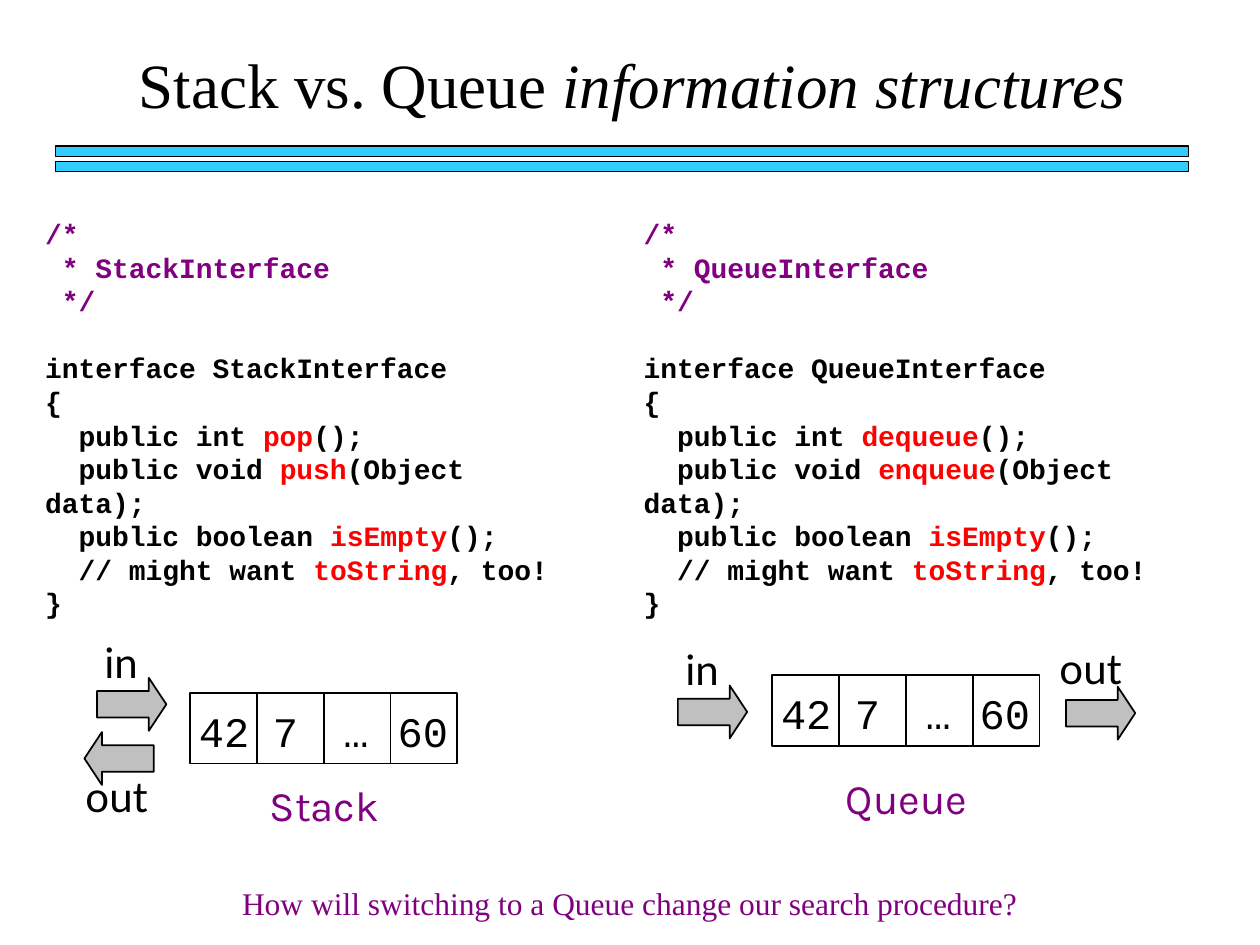
from pptx import Presentation
from pptx.dml.color import RGBColor
from pptx.enum.shapes import MSO_SHAPE
from pptx.enum.text import MSO_ANCHOR, PP_ALIGN
from pptx.util import Inches, Pt

RECT = MSO_SHAPE.RECTANGLE
RIGHT = MSO_SHAPE.RIGHT_ARROW
BACK = MSO_SHAPE.LEFT_ARROW
LEFT, MID = PP_ALIGN.LEFT, PP_ALIGN.CENTER
TOP, BASE = MSO_ANCHOR.TOP, MSO_ANCHOR.BOTTOM
BLACK, PURPLE, RED = "000000", "800080", "FF0000"
SERIF = {"name": "Times New Roman"}
MONO = {"name": "Courier New", "size": Pt(24)}
LATO = {"name": "Lato", "size": Pt(24)}
KARLA = {"name": "Karla", "size": Pt(24)}
CODE = {"name": "Courier New", "size": Pt(16), "bold": True}

prs = Presentation()
prs.slide_width, prs.slide_height = Inches(10), Inches(7.5)
slide = prs.slides.add_slide(prs.slide_layouts[6])


def add_text(box, lines, form, align=LEFT, wrap=True, anchor=TOP):
    """Each line is a list of (text, colour, italic) runs."""
    frame = slide.shapes.add_textbox(*map(Inches, box)).text_frame
    frame.word_wrap = wrap
    frame.vertical_anchor = anchor
    for i, line in enumerate(lines):
        para = frame.add_paragraph() if i else frame.paragraphs[0]
        para.alignment = align
        for key, value in form.items():
            setattr(para.font, key, value)
        for text, color, slant in line:
            run = para.add_run()
            run.text = text
            for key, value in {**form, "italic": slant}.items():
                setattr(run.font, key, value)
            run.font.color.rgb = RGBColor.from_string(color)


def add_shape(kind, box, fill, width=1):
    shape = slide.shapes.add_shape(kind, *map(Inches, box))
    shape.shadow.inherit = False
    if fill:
        shape.fill.solid()
        shape.fill.fore_color.rgb = RGBColor.from_string(fill)
    else:
        shape.fill.background()
    shape.line.color.rgb = RGBColor.from_string(BLACK)
    shape.line.width = Pt(width)
    return shape


# Title and double rule
add_text((0.92, 0.18, 8.19, 0.83),
         [[("Stack vs. Queue ", BLACK, False),
           ("information structures", BLACK, True)]],
         {**SERIF, "size": Pt(36)}, MID, anchor=BASE)
for y in (1.16, 1.28):
    add_shape(RECT, (0.44, y, 8.99, 0.08), "33CCFF", 0.75)

# Code columns: method names between bars are red
for x, width, kind, take, put in (
        (0.26, 4.45, "Stack", "pop", "push"),
        (5.01, 4.85, "Queue", "dequeue", "enqueue")):
    note = ["/*", f" * {kind}Interface", " */"]
    body = ["", f"interface {kind}Interface", "{",
            f"  public int |{take}|();",
            f"  public void |{put}|(Object data);",
            "  public boolean |isEmpty|();",
            "  // might want |toString|, too!", "}"]
    lines = [[(text, PURPLE, False)] for text in note]
    for text in body:
        lines.append([(part, RED if i % 2 else BLACK, False)
                      for i, part in enumerate(text.split("|")) if part])
    add_text((x, 1.67, width, 3.03), lines, CODE, wrap=False)

# Rows of cells with their values
for x, y in ((1.51, 5.5), (6.13, 5.36)):
    for i, fill in enumerate(("FFFFFF", "FFFFFF", None, None)):
        add_shape(RECT, (x + 0.53 * i, y, 0.53, 0.56), fill)
    for text, shift, align in (("42", -0.03, LEFT), ("7", 0.36, MID),
                               ("…", 0.92, MID), ("60", 1.45, MID)):
        add_text((x + shift, y + 0.05, 0.79, 0.5),
                 [[(text, BLACK, False)]], MONO, align)

# Arrows in and out
for kind, x, y in ((RIGHT, 0.77, 5.38), (BACK, 0.67, 5.81),
                   (RIGHT, 5.38, 5.44), (RIGHT, 8.46, 5.45)):
    arrow = add_shape(kind, (x, y, 0.55, 0.42), "C0C0C0")
    arrow.adjustments[1] = 0.33
for text, x, y, width in (("in", 0.73, 5, 0.58), ("out", 0.58, 6.07, 0.85),
                          ("in", 5.34, 5.06, 0.58), ("out", 8.31, 5.05, 0.85)):
    add_text((x, y, width, 0.5), [[(text, BLACK, False)]], LATO)

# Names and closing question
for text, x, y in (("Stack", 1.55, 6.14), ("Queue", 6.17, 6.08)):
    add_text((x, y, 2.05, 0.5), [[(text, PURPLE, False)]], KARLA, MID)
add_text((1.25, 6.97, 7.5, 0.4),
         [[("How will switching to a Queue change our search procedure?",
            PURPLE, False)]], {**SERIF, "size": Pt(18)}, MID)

prs.save("out.pptx")
